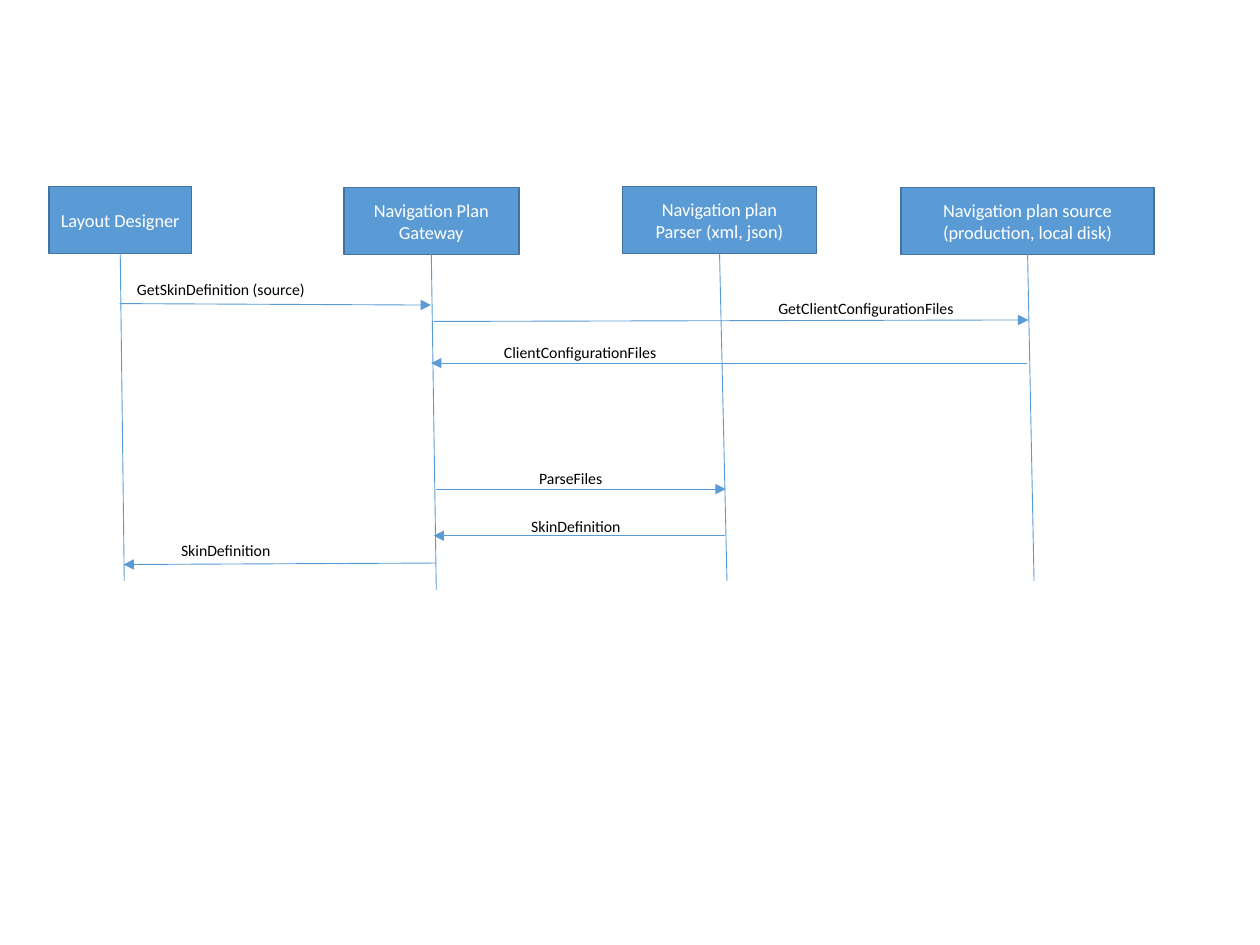
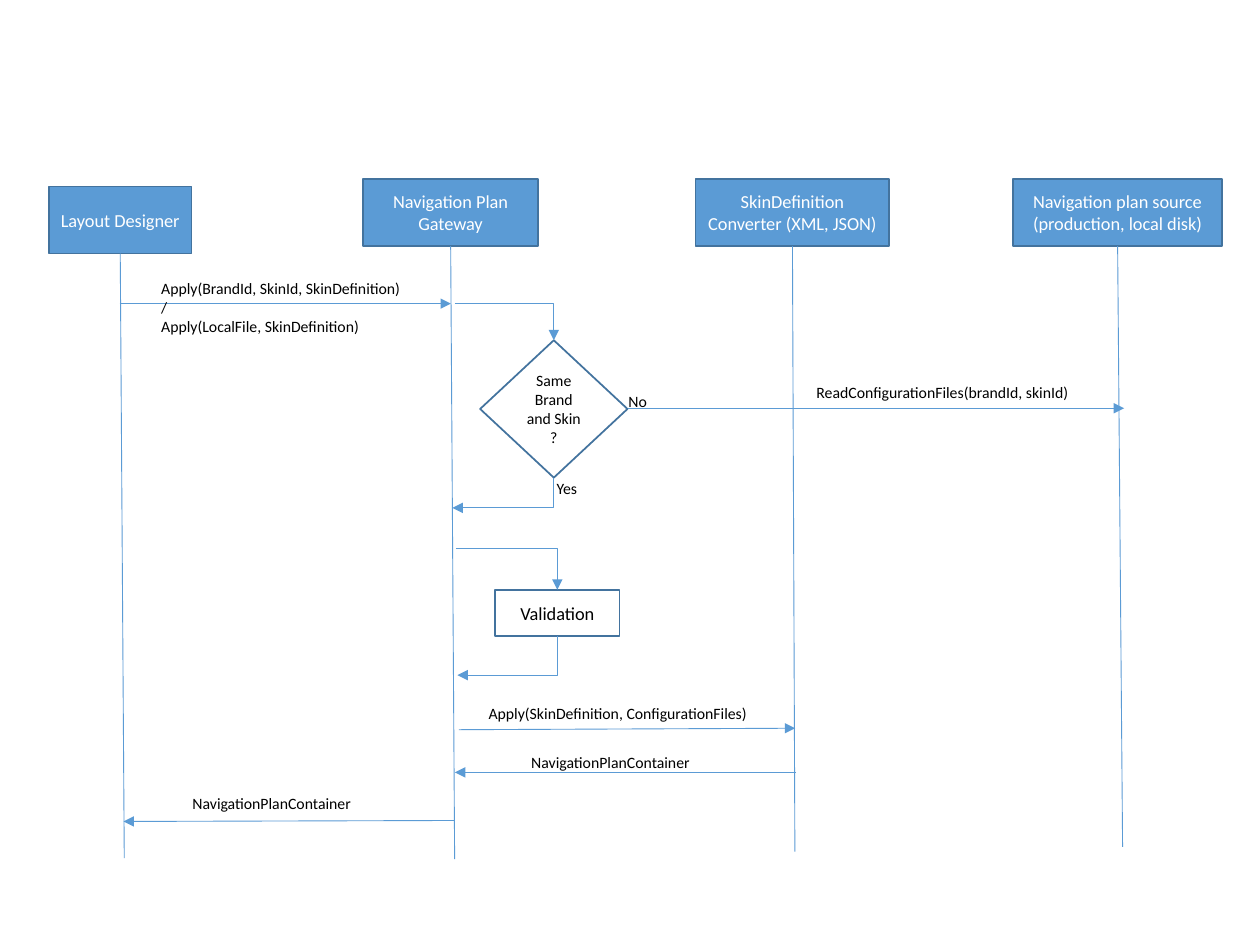
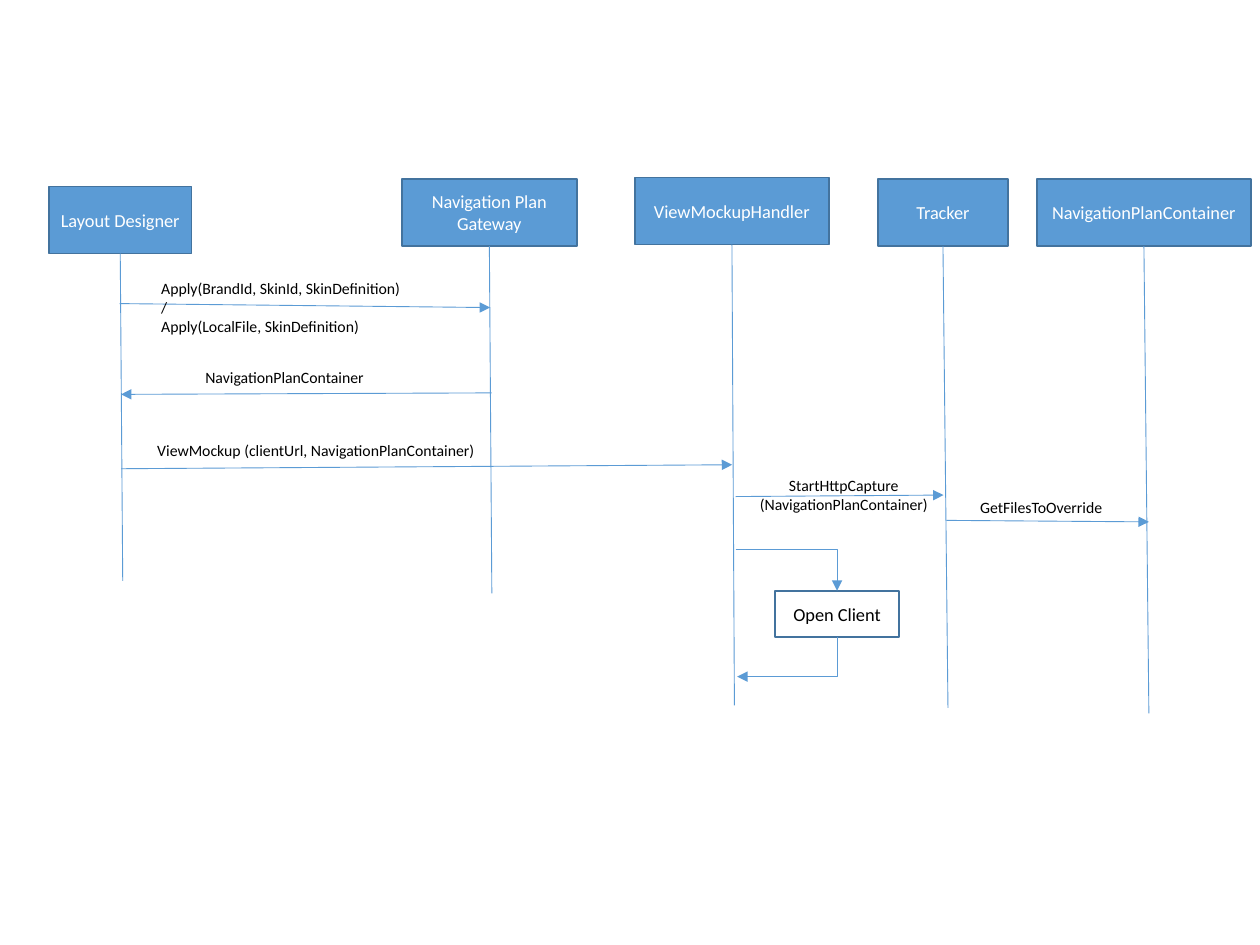
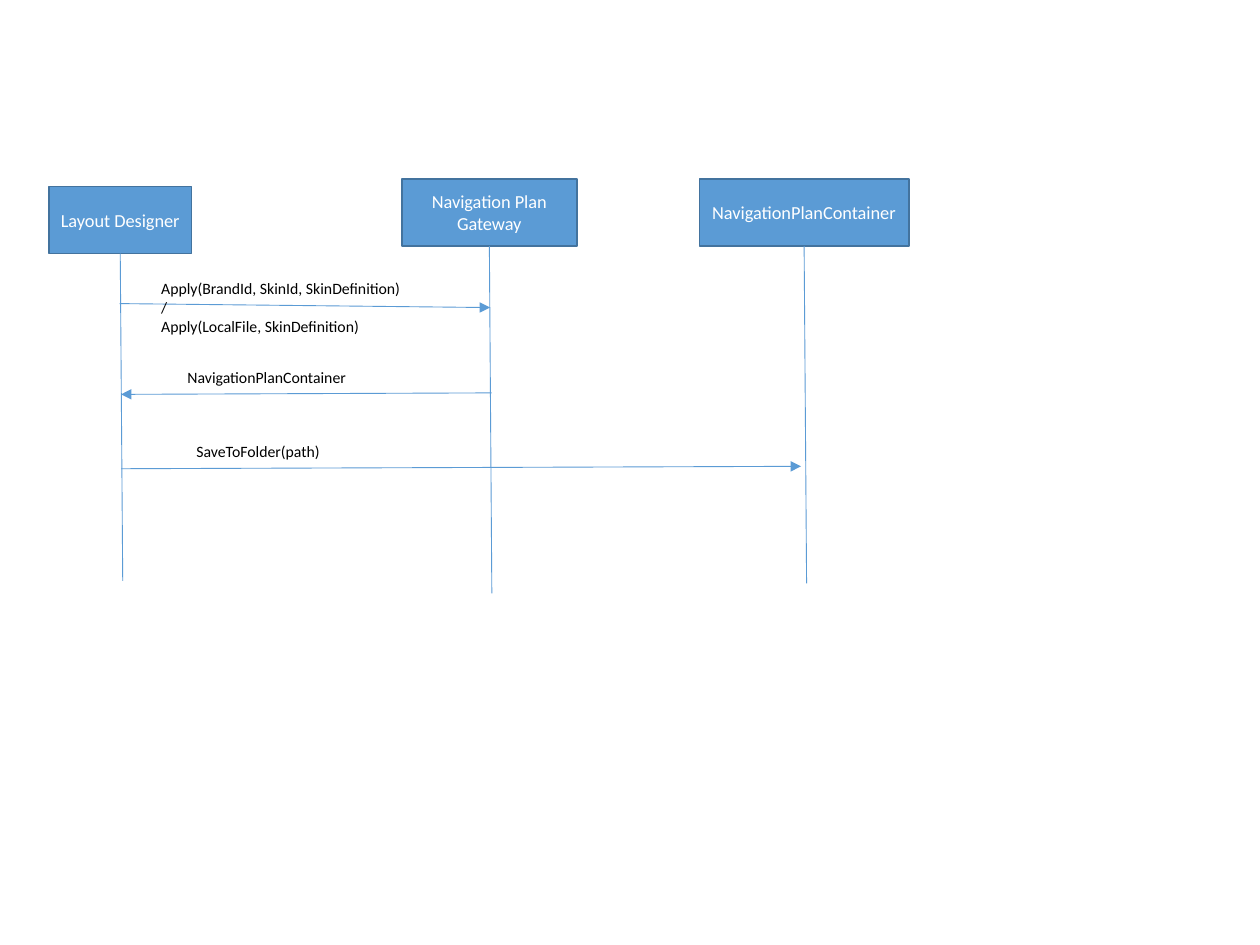
"""Four sequence diagrams of the navigation plan tool."""
from dataclasses import dataclass

from lxml import etree
from pptx import Presentation
from pptx.dml.color import RGBColor
from pptx.enum.shapes import MSO_CONNECTOR, MSO_SHAPE
from pptx.enum.text import MSO_ANCHOR, PP_ALIGN
from pptx.oxml.ns import qn
from pptx.util import Cm, Pt

RECTANGLE, DIAMOND = MSO_SHAPE.RECTANGLE, MSO_SHAPE.DIAMOND
STRAIGHT, ELBOW = MSO_CONNECTOR.STRAIGHT, MSO_CONNECTOR.ELBOW
LEFT, CENTER = PP_ALIGN.LEFT, PP_ALIGN.CENTER
MIDDLE = MSO_ANCHOR.MIDDLE

COLORS = {"blue": "5B9BD5", "border": "43739E", "white": "FFFFFF", "black": "000000"}
FONT = "Calibri"
HEADER_HEIGHT = 1.35
LABEL_PADDING, LABEL_LINE = 0.25, 0.39
BOX_INSET_X, BOX_INSET_Y = 0.18, 0.1
BODY_SIZE, LABEL_SIZE = 10.5, 9

Point = tuple[float, float]


# All lengths in the records below are centimetres.
@dataclass(frozen=True)
class Participant:
    """A header box whose lifeline drifts sideways down to a foot."""
    text: str
    left: float
    top: float
    width: float
    drift: float
    foot: float


@dataclass(frozen=True)
class Label:
    """A small caption; its height follows from its lines."""
    text: str
    left: float
    top: float
    width: float
    align: PP_ALIGN = LEFT


@dataclass(frozen=True)
class Message:
    """A labelled arrow between two lifelines."""
    label: Label
    start: Point
    end: Point


@dataclass(frozen=True)
class Activity:
    """An outlined step that a lifeline enters from above and leaves below."""
    text: str
    left: float
    top: float
    entry: Point
    exit: Point
    width: float = 2.51
    height: float = 0.94
    kind: MSO_SHAPE = RECTANGLE
    size: float = BODY_SIZE


@dataclass(frozen=True)
class Diagram:
    """Everything on one slide."""
    participants: list[Participant]
    messages: list[Message]
    activities: tuple[Activity, ...] = ()
    answers: tuple[Label, ...] = ()


def color(name: str) -> RGBColor:
    """Look up a palette colour."""
    return RGBColor.from_string(COLORS[name])


def write_text(frame, text: str, size: float, ink: str, align: PP_ALIGN) -> None:
    """Fill a text frame and format its paragraphs."""
    frame.text = text
    frame.word_wrap = True
    for paragraph in frame.paragraphs:
        paragraph.alignment = align
        for run in paragraph.runs:
            run.font.name = FONT
            run.font.size = Pt(size)
            run.font.color.rgb = color(ink)


def draw_box(slide, kind: MSO_SHAPE, left: float, top: float, width: float,
             height: float, text: str, size: float, filled: bool) -> None:
    """Draw a bordered shape, solid blue or unfilled, with centred text."""
    box = slide.shapes.add_shape(kind, Cm(left), Cm(top), Cm(width), Cm(height))
    box.shadow.inherit = False
    if filled:
        box.fill.solid()
        box.fill.fore_color.rgb = color("blue")
    else:
        box.fill.background()
    box.line.color.rgb = color("border")
    box.line.width = Pt(1)
    frame = box.text_frame
    frame.margin_left = frame.margin_right = Cm(BOX_INSET_X)
    frame.margin_top = frame.margin_bottom = Cm(BOX_INSET_Y)
    frame.vertical_anchor = MIDDLE
    write_text(frame, text, size, "white" if filled else "black", CENTER)


def draw_line(slide, start: Point, end: Point, arrow: bool = True,
              kind: MSO_CONNECTOR = STRAIGHT):
    """Draw a thin blue connector, by default with an arrowhead at its end."""
    line = slide.shapes.add_connector(kind, *(Cm(v) for v in (*start, *end)))
    line.line.color.rgb = color("blue")
    line.line.width = Pt(0.5)
    properties = line._element.spPr
    if arrow:
        etree.SubElement(properties.find(qn("a:ln")), qn("a:tailEnd"), type="triangle")
    etree.SubElement(properties, qn("a:effectLst"))
    return line


def draw_elbow(slide, start: Point, end: Point, down_first: bool) -> None:
    """Draw an arrow with one corner: right then down, or down then left."""
    if down_first:
        # The preset turns right then down, so its box lies a quarter turn back.
        center_x, center_y = (start[0] + end[0]) / 2, (start[1] + end[1]) / 2
        half_run, half_drop = (start[0] - end[0]) / 2, (end[1] - start[1]) / 2
        start = (center_x - half_drop, center_y - half_run)
        end = (center_x + half_drop, center_y + half_run)
    elbow = draw_line(slide, start, end, kind=ELBOW)
    properties = elbow._element.spPr
    properties.find(qn("a:prstGeom")).set("prst", "bentConnector2")
    if down_first:
        properties.find(qn("a:xfrm")).set("rot", str(90 * 60000))


def draw_label(slide, label: Label) -> None:
    """Draw a caption as tall as its lines need."""
    height = LABEL_PADDING + LABEL_LINE * len(label.text.split("\n"))
    caption = slide.shapes.add_textbox(Cm(label.left), Cm(label.top),
                                       Cm(label.width), Cm(height))
    write_text(caption.text_frame, label.text, LABEL_SIZE, "black", label.align)


def draw_participant(slide, who: Participant) -> None:
    """Draw a header and the lifeline from its bottom centre."""
    draw_box(slide, RECTANGLE, who.left, who.top, who.width, HEADER_HEIGHT,
             who.text, BODY_SIZE, filled=True)
    center = who.left + who.width / 2
    draw_line(slide, (center, who.top + HEADER_HEIGHT),
              (center + who.drift, who.foot), arrow=False)


def draw_activity(slide, step: Activity) -> None:
    """Draw a step with the elbows leading in and out of it."""
    draw_box(slide, step.kind, step.left, step.top, step.width, step.height,
             step.text, step.size, filled=False)
    center = step.left + step.width / 2
    draw_elbow(slide, step.entry, (center, step.top), down_first=False)
    draw_elbow(slide, (center, step.top + step.height), step.exit, down_first=True)


def draw_diagram(presentation, diagram: Diagram) -> None:
    """Add a blank slide and draw one diagram on it."""
    slide = presentation.slides.add_slide(presentation.slide_layouts[6])
    for who in diagram.participants:
        draw_participant(slide, who)
    for step in diagram.activities:
        draw_activity(slide, step)
    for message in diagram.messages:
        draw_line(slide, message.start, message.end)
        draw_label(slide, message.label)
    for answer in diagram.answers:
        draw_label(slide, answer)


def designer(drift: float, foot: float) -> Participant:
    """Give the participant that starts every diagram."""
    return Participant("Layout Designer", 0.99, 3.76, 2.87, drift, foot)


def gateway(left: float, top: float, drift: float, foot: float) -> Participant:
    """Give the gateway participant."""
    return Participant("Navigation Plan Gateway", left, top, 3.53, drift, foot)


def plan_source(left: float, top: float, width: float, drift: float,
                foot: float) -> Participant:
    """Give the plan source participant."""
    return Participant("Navigation plan source\n(production, local disk)",
                       left, top, width, drift, foot)


def apply_message(end: Point) -> Message:
    """Give the designer's request to apply a skin."""
    text = "Apply(BrandId, SkinId, SkinDefinition)\n/\nApply(LocalFile, SkinDefinition)"
    return Message(Label(text, 3, 5.49, 5.54), (2.41, 6.12), end)


def container_message(left: float, top: float, start: Point, end: Point) -> Message:
    """Give the reply that carries the container."""
    return Message(Label(CONTAINER, left, top, 4.06), start, end)


CONTAINER = "NavigationPlanContainer"

GET_SKIN = Diagram(
    participants=[
        designer(0.08, 11.71),
        gateway(6.93, 3.78, 0.1, 11.89),
        Participant("Navigation plan\nParser (xml, json)", 12.55, 3.76, 3.91, 0.15, 11.71),
        plan_source(18.16, 3.78, 5.11, 0.13, 11.71),
    ],
    messages=[
        Message(Label("GetSkinDefinition (source)", 2.51, 5.51, 5.77),
                (2.41, 6.12), (8.69, 6.15)),
        Message(Label("GetClientConfigurationFiles", 15.44, 5.89, 4.57),
                (8.74, 6.48), (20.73, 6.45)),
        Message(Label("ClientConfigurationFiles", 9.91, 6.78, 4.04),
                (20.7, 7.32), (8.69, 7.32)),
        Message(Label("ParseFiles", 10.62, 9.32, 2.54), (8.79, 9.86), (14.63, 9.86)),
        Message(Label("SkinDefinition", 10.46, 10.29, 2.64), (14.61, 10.8), (8.74, 10.8)),
        Message(Label("SkinDefinition", 3.4, 10.77, 5.13), (8.79, 11.35), (2.49, 11.38)),
    ],
)

APPLY_SKIN = Diagram(
    participants=[
        designer(0.08, 17.3),
        gateway(7.32, 3.61, 0.08, 17.32),
        Participant("SkinDefinition Converter (XML, JSON)", 14.02, 3.61, 3.91, 0.05, 17.17),
        plan_source(20.42, 3.61, 4.22, 0.1, 17.07),
    ],
    messages=[
        apply_message((9.09, 6.12)),
        Message(Label("ReadConfigurationFiles(brandId, skinId)", 16.21, 7.59, 5.84),
                (12.65, 8.23), (22.66, 8.23)),
        Message(Label("Apply(SkinDefinition, ConfigurationFiles)", 9.6, 14.07, 6.17),
                (9.25, 14.71), (16.03, 14.68)),
        container_message(10.46, 15.06, (16.05, 15.57), (9.17, 15.57)),
        container_message(3.63, 15.88, (9.17, 16.54), (2.49, 16.56)),
    ],
    activities=(
        Activity("Same Brand and Skin ?", 9.68, 6.86, (9.17, 6.12), (9.12, 10.24),
                 2.97, 2.77, DIAMOND, LABEL_SIZE),
        Activity("Validation", 9.98, 11.89, (9.19, 11.05), (9.22, 13.61)),
    ),
    answers=(Label("Yes", 10.97, 9.53, 1.04), Label("No", 12.42, 7.77, 1.04)),
)

VIEW_MOCKUP = Diagram(
    participants=[
        designer(0.05, 11.71),
        gateway(8.1, 3.61, 0.05, 11.96),
        Participant("ViewMockupHandler", 12.8, 3.58, 3.91, 0.05, 14.22),
        Participant("Tracker", 17.7, 3.61, 2.62, 0.1, 14.27),
        Participant(CONTAINER, 20.9, 3.61, 4.32, 0.1, 14.38),
    ],
    messages=[
        apply_message((9.88, 6.2)),
        container_message(3.89, 7.29, (9.91, 7.92), (2.44, 7.95)),
        Message(Label("ViewMockup (clientUrl, NavigationPlanContainer)", 2.92, 8.76, 7.01),
                (2.44, 9.45), (14.76, 9.37)),
        Message(Label("StartHttpCapture\n(NavigationPlanContainer)",
                      14.99, 9.47, 4.04, CENTER),
                (14.83, 10.01), (19.02, 9.98)),
        Message(Label("GetFilesToOverride", 19.51, 9.91, 3.12),
                (19.08, 10.49), (23.16, 10.52)),
    ],
    activities=(Activity("Open Client", 15.62, 11.91, (14.83, 11.07), (14.86, 13.64)),),
)

SAVE_TO_FOLDER = Diagram(
    participants=[
        designer(0.05, 11.71),
        gateway(8.1, 3.61, 0.05, 11.96),
        Participant(CONTAINER, 14.1, 3.61, 4.22, 0.05, 11.76),
    ],
    messages=[
        apply_message((9.88, 6.2)),
        container_message(3.53, 7.29, (9.91, 7.92), (2.44, 7.95)),
        Message(Label("SaveToFolder(path)", 3.71, 8.79, 3.25), (2.44, 9.45), (16.15, 9.4)),
    ],
)


def main() -> None:
    """Build and save the presentation."""
    presentation = Presentation()
    presentation.slide_width, presentation.slide_height = Cm(25.4), Cm(19.05)
    for diagram in (GET_SKIN, APPLY_SKIN, VIEW_MOCKUP, SAVE_TO_FOLDER):
        draw_diagram(presentation, diagram)
    presentation.save("out.pptx")


main()
